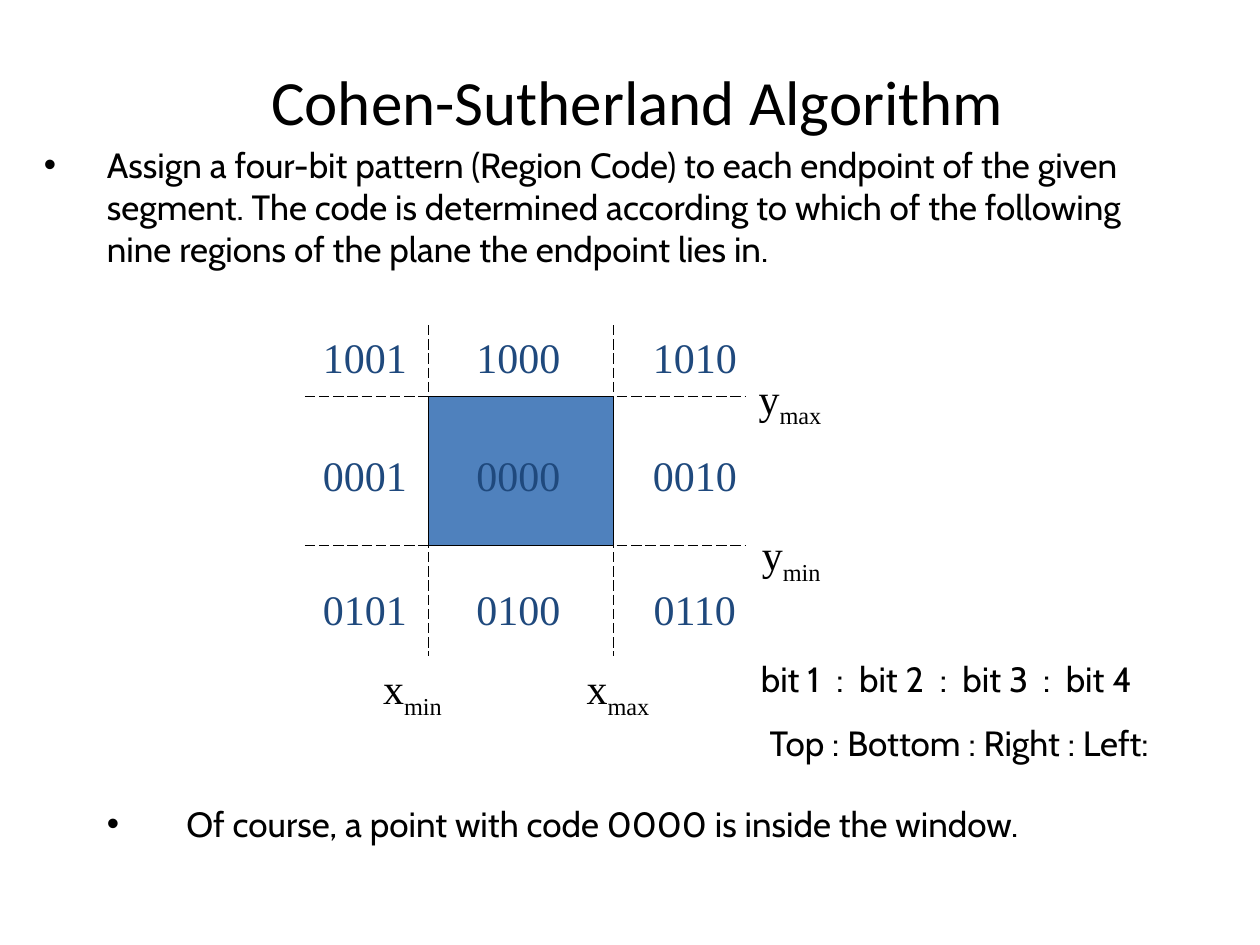
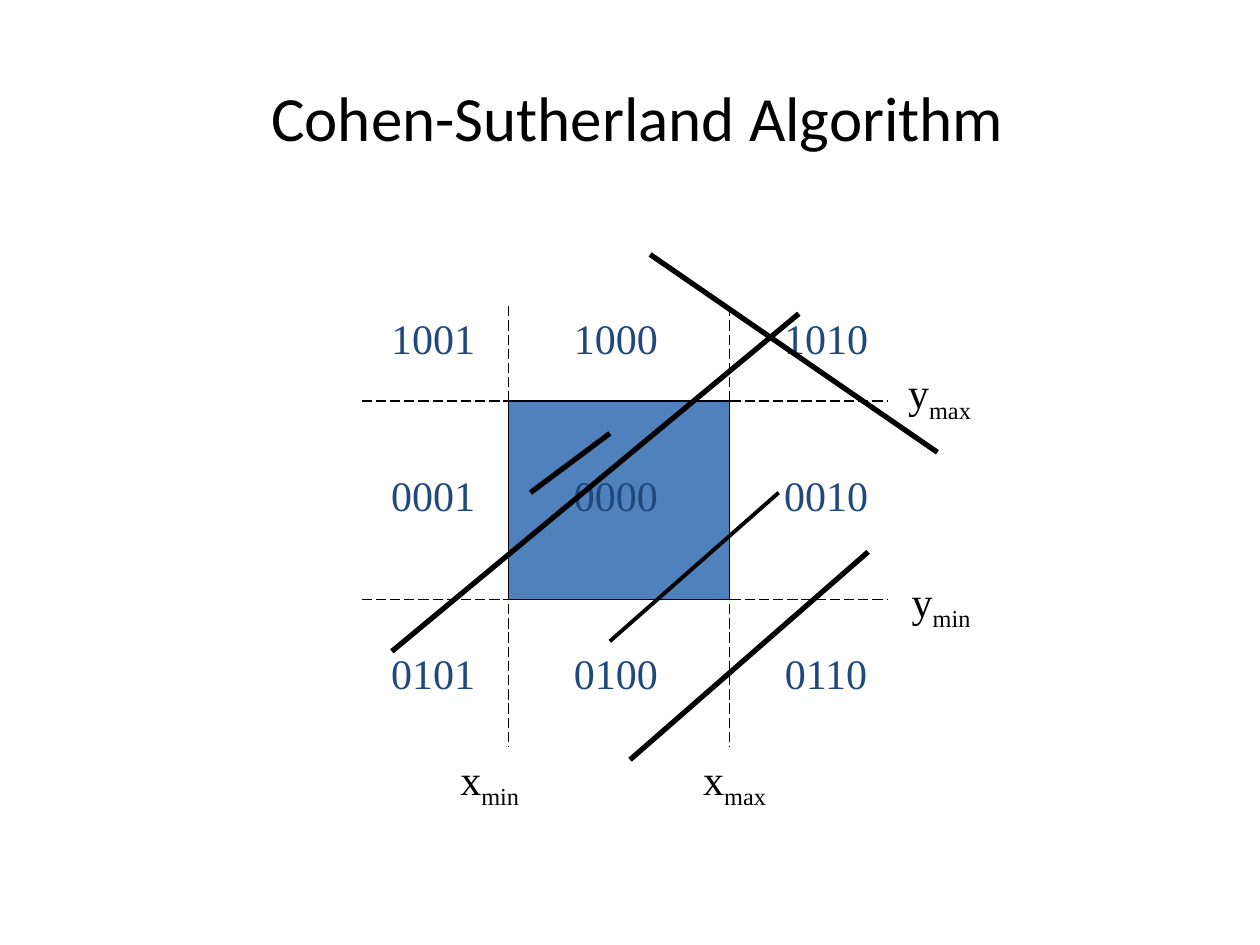
from lxml.etree import SubElement
from pptx import Presentation
from pptx.dml.color import RGBColor
from pptx.enum.dml import MSO_LINE
from pptx.enum.shapes import MSO_CONNECTOR, MSO_SHAPE
from pptx.enum.text import MSO_ANCHOR, PP_ALIGN
from pptx.oxml.ns import qn
from pptx.util import Inches, Pt

COLORS = {"ink": "000000", "window": "4F81BD", "code": "1F497D"}
TITLE_FONT, BODY_FONT, LABEL_FONT = "Calibri", "Cabin", "Times New Roman"

presentation = Presentation()
presentation.slide_width = Inches(10)
presentation.slide_height = Inches(7.5)

# The slide is a grid of 100 columns by 75 rows
COLUMN = presentation.slide_width / 100
ROW = presentation.slide_height / 75


def add_text(slide, box, paragraphs, font, size, color="ink", align=PP_ALIGN.LEFT, wrap=True):
    """Each paragraph is a list of runs; runs after the first are subscripts."""
    left, top, width, height = box
    shape = slide.shapes.add_textbox(
        int(left * COLUMN), int(top * ROW), int(width * COLUMN), int(height * ROW))
    frame = shape.text_frame
    frame.word_wrap = wrap
    for index, runs in enumerate(paragraphs):
        paragraph = frame.add_paragraph() if index else frame.paragraphs[0]
        paragraph.alignment = align
        if index:
            paragraph.space_before = Pt(12.5)
        for position, text in enumerate(runs):
            run = paragraph.add_run()
            run.text = text
            run.font.name = font
            run.font.size = Pt(size)
            run.font.color.rgb = RGBColor.from_string(COLORS[color])
            if position:
                run._r.get_or_add_rPr().set("baseline", "-25000")
    return frame


def add_line(slide, start, end, weight=0.75, dash=None):
    line = slide.shapes.add_connector(
        MSO_CONNECTOR.STRAIGHT,
        int(start[0] * COLUMN), int(start[1] * ROW), int(end[0] * COLUMN), int(end[1] * ROW))
    line.line.color.rgb = RGBColor.from_string(COLORS["ink"])
    line.line.width = Pt(weight)
    if dash:
        line.line.dash_style = dash
    SubElement(line._element.spPr, qn("a:effectLst"))


# Nine-region plane: all positions are percentages of its width and height
WINDOW_X, WINDOW_Y = (28, 70), (21.5, 66.6)
CODE_CENTERS, CODE_TOPS = (13.6, 48.4, 88.4), (0, 35.7, 76)
CODES = (("1001", "1000", "1010"),
         ("0001", "0000", "0010"),
         ("0101", "0100", "0110"))
AXIS_LABELS = (("y", "min", 110.3, 59.6), ("y", "max", 110, 12.3),
               ("x", "min", 24.4, 100), ("x", "max", 71, 100))
CODE_WIDTH, LABEL_WIDTH = 10, 8

# One entry per slide: title top, then left, top, width and height of the plane
LAYOUTS = ((1.7, (24.2, 25.8, 35, 26.3)),
           (3, (28.7, 24.3, 41.7, 35)))

slides = []
for title_top, (left, top, width, height) in LAYOUTS:
    slide = presentation.slides.add_slide(presentation.slide_layouts[6])
    slides.append(slide)
    column, row = width / 100, height / 100

    # Title
    title = add_text(slide, (5.6, title_top, 90, 12.5), [["Cohen-Sutherland Algorithm"]],
                     TITLE_FONT, 36, align=PP_ALIGN.CENTER)
    title.vertical_anchor = MSO_ANCHOR.MIDDLE

    # Dashed boundaries
    window_x = [left + share * column for share in WINDOW_X]
    window_y = [top + share * row for share in WINDOW_Y]
    for y in window_y:
        add_line(slide, (left, y), (left + width, y), dash=MSO_LINE.LONG_DASH)
    for x in window_x:
        add_line(slide, (x, top), (x, top + height), dash=MSO_LINE.LONG_DASH)

    # Clipping window
    window = slide.shapes.add_shape(
        MSO_SHAPE.RECTANGLE, int(window_x[0] * COLUMN), int(window_y[0] * ROW),
        int((window_x[1] - window_x[0]) * COLUMN), int((window_y[1] - window_y[0]) * ROW))
    window.shadow.inherit = False
    window.fill.solid()
    window.fill.fore_color.rgb = RGBColor.from_string(COLORS["window"])
    window.line.color.rgb = RGBColor.from_string(COLORS["ink"])
    window.line.width = Pt(0.75)

    # Axis labels
    for axis, limit, center, label_top in AXIS_LABELS:
        label_left = left + center * column - LABEL_WIDTH / 2
        add_text(slide, (label_left, top + label_top * row, LABEL_WIDTH, 5.6),
                 [[axis, limit]], LABEL_FONT, 24, align=PP_ALIGN.CENTER, wrap=False)

    # Region codes
    for row_codes, code_top in zip(CODES, CODE_TOPS):
        for code, center in zip(row_codes, CODE_CENTERS):
            code_left = left + center * column - CODE_WIDTH / 2
            add_text(slide, (code_left, top + code_top * row, CODE_WIDTH, 5),
                     [[code]], LABEL_FONT, 24, "code", PP_ALIGN.CENTER, wrap=False)

regions_slide, segments_slide = slides

# Regions slide: bulleted statements (box, left margin, hanging indent, text)
BULLETS = (
    ((2.5, 10.9, 92.5, 11), 0.5, 0.5,
     "Assign a four-bit pattern (Region Code) to each endpoint of the given segment. "
     "The code is determined according to which of the following nine regions of the "
     "plane the endpoint lies in."),
    ((2.5, 63.2, 92.5, 4.4), 1.13, 0.63,
     "Of course, a point with code 0000 is inside the window."),
)
for box, margin, hanging, text in BULLETS:
    frame = add_text(regions_slide, box, [[text]], BODY_FONT, 20)
    properties = frame.paragraphs[0]._p.get_or_add_pPr()
    properties.set("marL", str(Inches(margin)))
    properties.set("indent", str(-Inches(hanging)))
    SubElement(properties, qn("a:buFont"), typeface="Arial")
    SubElement(properties, qn("a:buChar"), char="•")

# Regions slide: meaning of the bits, aligned with tab stops
bits = add_text(regions_slide, (59.4, 51.7, 38.9, 9.4),
                [["bit 1\t:\tbit 2\t:\tbit 3\t:\tbit 4"], ["Top : Bottom : Right : Left:"]],
                BODY_FONT, 20)
tab_list = SubElement(bits.paragraphs[0]._p.get_or_add_pPr(), qn("a:tabLst"))
for step in range(3):
    for first_stop in (0.6, 0.78):
        SubElement(tab_list, qn("a:tab"), pos=str(Inches(first_stop + 0.82 * step)), algn="l")
bits.paragraphs[1]._p.get_or_add_pPr().set("marL", str(Inches(0.07)))

# Segments slide: line segments to clip (start, end, weight)
SEGMENTS = (
    ((51.6, 20.2), (74.4, 35.9), 3),
    ((42.1, 39.1), (48.4, 34.4), 3),
    ((31.1, 51.7), (63.4, 24.9), 3),
    ((48.4, 50.9), (61.8, 39.1), 2.25),
    ((50, 60.3), (68.9, 43.8), 3),
)
for start, end, weight in SEGMENTS:
    add_line(segments_slide, start, end, weight)

presentation.save("out.pptx")
